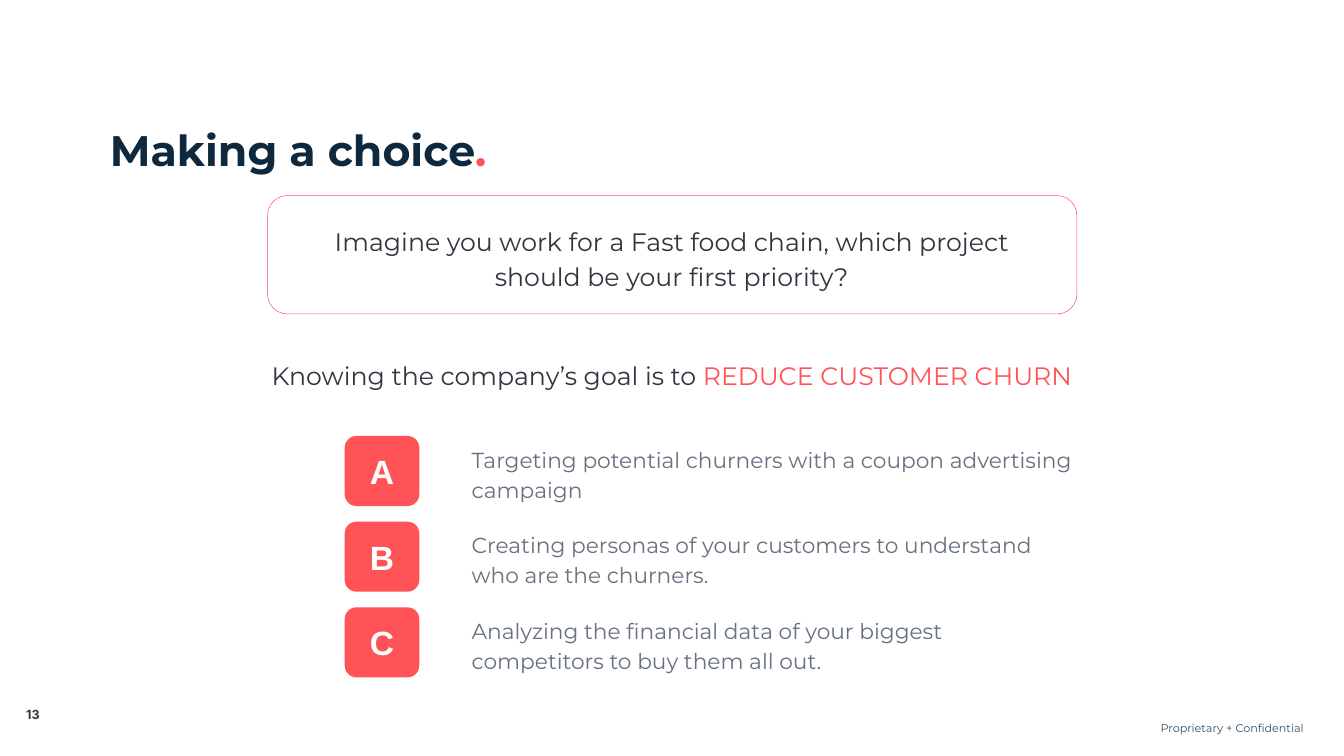
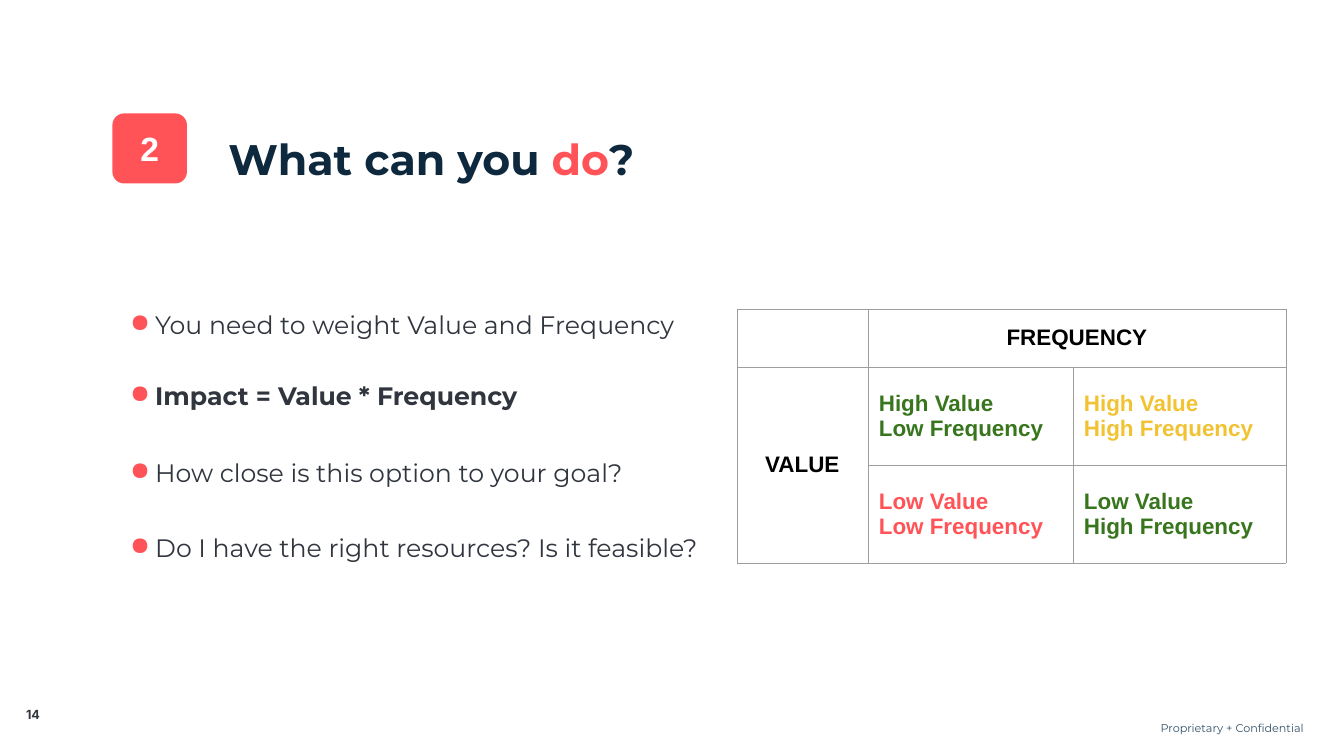
from dataclasses import dataclass

from lxml.etree import SubElement
from pptx import Presentation
from pptx.dml.color import RGBColor
from pptx.enum.shapes import MSO_SHAPE
from pptx.enum.text import MSO_ANCHOR, MSO_AUTO_SIZE, PP_ALIGN
from pptx.oxml.ns import qn
from pptx.util import Pt

EMU_PER_PX = 9144  # 100 px to the inch
INSET = 10


def px(length):
    return length * EMU_PER_PX


@dataclass(frozen=True)
class Theme:
    # Colours
    coral: str = "FF5358"
    navy: str = "0E283D"
    ink: str = "30353E"
    muted: str = "677180"
    slate: str = "335169"
    white: str = "FFFFFF"
    black: str = "000000"
    green: str = "38761D"
    yellow: str = "F1C232"
    grid: str = "9E9E9E"
    # Fonts
    body_font: str = "Montserrat"
    label_font: str = "Arial"
    number_font: str = "Inter"
    # Type sizes
    title_size: int = 61
    badge_size: int = 48
    body_size: int = 36
    table_size: int = 32
    option_size: int = 31
    number_size: int = 18
    footer_size: int = 16
    # Lines
    hairline: float = 0.75


class Deck:
    def __init__(self, theme):
        self.theme = theme
        self.prs = Presentation()
        self.prs.slide_width, self.prs.slide_height = px(2667), px(1500)
        self.slide = None

    def new_slide(self, number):
        theme = self.theme
        self.slide = self.prs.slides.add_slide(self.prs.slide_layouts[6])
        self.text((2135, 1422, 462, 35), [("Proprietary + Confidential", theme.slate)],
                  size=theme.footer_size, align=PP_ALIGN.RIGHT, spacing=1.0,
                  inset=INSET, grow=False)
        self.text((32, 1402, 67, 30), [(str(number), theme.ink)],
                  size=theme.number_size, font=theme.number_font, bold=True,
                  align=PP_ALIGN.CENTER, spacing=1.0)

    def apply(self, target, values):
        for name, value in values.items():
            setattr(target, name, value)

    def set_insets(self, target, inset, left=None):
        self.apply(target, {
            "margin_left": px(inset if left is None else left),
            "margin_right": px(inset),
            "margin_top": px(inset),
            "margin_bottom": px(inset),
        })

    def fill_paragraph(self, paragraph, runs, size, font, bold=False,
                       align=PP_ALIGN.LEFT, spacing=1.0):
        self.apply(paragraph, {"alignment": align, "line_spacing": spacing})
        for words, colour in runs:
            for index, line in enumerate(words.split("\n")):
                if index:
                    paragraph.add_line_break()
                run = paragraph.add_run()
                run.text = line
                self.apply(run.font, {"size": Pt(size), "name": font, "bold": bold})
                run.font.color.rgb = RGBColor.from_string(colour)

    def text(self, box, runs, size=None, font=None, bold=False,
             align=PP_ALIGN.LEFT, spacing=1.15, inset=0, grow=True):
        frame = self.slide.shapes.add_textbox(*map(px, box)).text_frame
        self.set_insets(frame, inset)
        self.apply(frame, {
            "word_wrap": True,
            "auto_size": MSO_AUTO_SIZE.SHAPE_TO_FIT_TEXT if grow else MSO_AUTO_SIZE.NONE,
        })
        paragraph = frame.paragraphs[0]
        self.fill_paragraph(paragraph, runs, size or self.theme.body_size,
                            font or self.theme.body_font, bold, align, spacing)
        return paragraph

    def title(self, left, top, runs):
        self.text((left, top, 961, 103), runs, size=self.theme.title_size,
                  bold=True, spacing=1.2)

    def bullet(self, box, words, bold=False):
        paragraph = self.text(box, [(words, self.theme.ink)], bold=bold)
        props = paragraph._p.get_or_add_pPr()
        props.set("marL", str(px(50)))
        props.set("indent", str(px(-50)))
        colour = SubElement(props, qn("a:buClr"))
        SubElement(colour, qn("a:srgbClr"), val=self.theme.coral)
        SubElement(props, qn("a:buChar"), char="●")

    def rounded(self, box, fill=None, line=None):
        shape = self.slide.shapes.add_shape(MSO_SHAPE.ROUNDED_RECTANGLE, *map(px, box))
        shape.shadow.inherit = False
        shape.adjustments[0] = 0.167
        if fill:
            shape.fill.solid()
            shape.fill.fore_color.rgb = RGBColor.from_string(fill)
        else:
            shape.fill.background()
        if line:
            shape.line.color.rgb = RGBColor.from_string(line)
            shape.line.width = Pt(self.theme.hairline)
        else:
            shape.line.fill.background()
        return shape

    def badge(self, left, top, label):
        theme = self.theme
        frame = self.rounded((left, top, 148, 139), fill=theme.coral).text_frame
        self.set_insets(frame, INSET)
        self.apply(frame, {"vertical_anchor": MSO_ANCHOR.MIDDLE, "word_wrap": True})
        self.fill_paragraph(frame.paragraphs[0], [(label, theme.white)], theme.badge_size,
                            theme.label_font, bold=True, align=PP_ALIGN.CENTER)

    def border(self, cell):
        props = cell._tc.get_or_add_tcPr()
        for side in ("lnL", "lnR", "lnT", "lnB"):
            line = SubElement(props, qn(f"a:{side}"), w=str(Pt(self.theme.hairline)))
            fill = SubElement(line, qn("a:solidFill"))
            SubElement(fill, qn("a:srgbClr"), val=self.theme.grid)

    def table(self, left, top, widths, heights, merges, entries):
        theme = self.theme
        box = (left, top, sum(widths), sum(heights))
        table = self.slide.shapes.add_table(
            len(heights), len(widths), *map(px, box)).table
        self.apply(table, {"first_row": False, "horz_banding": False})
        for column, width in zip(table.columns, widths):
            column.width = px(width)
        for row, height in zip(table.rows, heights):
            row.height = px(height)
        for cell in table.iter_cells():
            self.border(cell)
            cell.fill.background()
        for start, end in merges:
            table.cell(*start).merge(table.cell(*end))
        for (row, column), (words, colour, align) in entries.items():
            cell = table.cell(row, column)
            self.set_insets(cell, INSET, left=22 if align == PP_ALIGN.LEFT else INSET)
            cell.vertical_anchor = MSO_ANCHOR.MIDDLE
            self.fill_paragraph(cell.text_frame.paragraphs[0], [(words, colour)],
                                theme.table_size, theme.label_font, bold=True, align=align)


def choice_slide(deck):
    theme = deck.theme
    deck.new_slide(13)
    deck.title(218, 226, [("Making a choice", theme.navy), (".", theme.coral)])

    # Question and goal
    deck.rounded((531, 388, 1606, 235), line=theme.coral)
    question = ("Imagine you work for a Fast food chain, which project "
                "should be your first priority?")
    deck.text((638, 440, 1390, 130), [(question, theme.ink)], align=PP_ALIGN.CENTER)
    deck.text((403, 696, 1860, 81),
              [("Knowing the company’s goal is to ", theme.ink),
               ("REDUCE CUSTOMER CHURN", theme.coral)],
              align=PP_ALIGN.CENTER, inset=INSET)

    # Options
    options = [
        ("A", 1369, "Targeting potential churners with a coupon advertising campaign"),
        ("B", 1127, "Creating personas of your customers to understand "
                    "who are the churners."),
        ("C", 1127, "Analyzing the financial data of your biggest "
                    "competitors to buy them all out."),
    ]
    for index, (letter, width, project) in enumerate(options):
        top = 865 + index * 170
        deck.badge(684, top, letter)
        deck.text((936, top + 13, width, 112), [(project, theme.muted)],
                  size=theme.option_size)


def impact_slide(deck):
    theme = deck.theme
    deck.new_slide(14)
    deck.badge(223, 225, "2")
    deck.title(453, 243, [("What can you ", theme.navy), ("do", theme.coral),
                          ("?", theme.navy)])

    # Criteria
    criteria = [
        (605, "You need to weight Value and Frequency", False),
        (746, "Impact = Value * Frequency", True),
        (898, "How close is this option to your goal?", False),
        (1047, "Do I have the right resources? Is it feasible?", False),
    ]
    for top, criterion, bold in criteria:
        deck.bullet((258, top, 1159, 61), criterion, bold)

    # Value and frequency matrix
    center, left = PP_ALIGN.CENTER, PP_ALIGN.LEFT
    deck.table(
        1462, 613, widths=(260, 407, 423), heights=(116, 194, 194),
        merges=[((0, 1), (0, 2)), ((1, 0), (2, 0))],
        entries={
            (0, 1): ("FREQUENCY", theme.black, center),
            (1, 0): ("VALUE", theme.black, center),
            (1, 1): ("High Value\nLow Frequency", theme.green, left),
            (1, 2): ("High Value\nHigh Frequency", theme.yellow, left),
            (2, 1): ("Low Value\nLow Frequency", theme.coral, left),
            (2, 2): ("Low Value\nHigh Frequency", theme.green, left),
        })


def main():
    deck = Deck(Theme())
    choice_slide(deck)
    impact_slide(deck)
    deck.prs.save("out.pptx")


if __name__ == "__main__":
    main()
